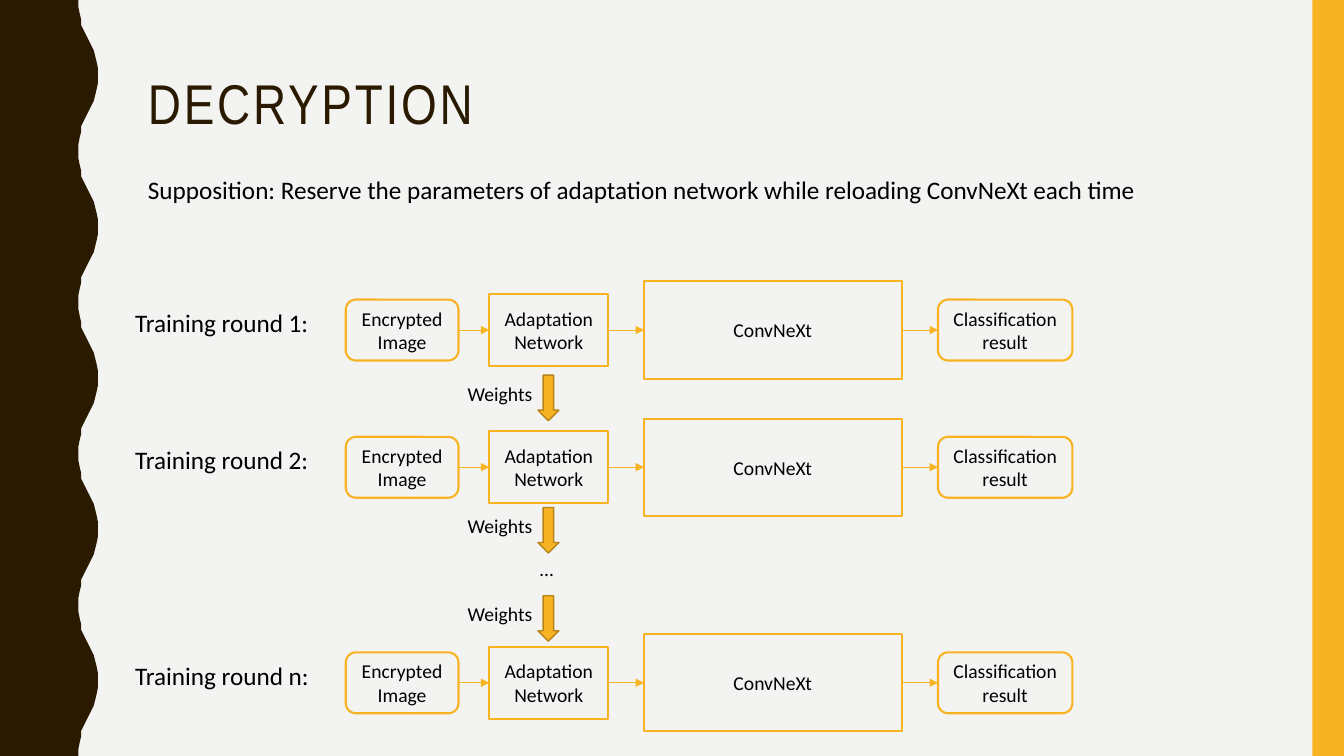
import pptx
import pptx.dml.color
import pptx.enum.shapes
import pptx.enum.text
import pptx.oxml
import pptx.oxml.ns
import pptx.util

Pt = pptx.util.Pt
SHAPES = pptx.enum.shapes.MSO_SHAPE
ANCHOR = pptx.enum.text.MSO_ANCHOR
ALIGN = pptx.enum.text.PP_ALIGN

SLIDE_WIDTH, SLIDE_HEIGHT = 960, 540
BROWN, AMBER, DARK_AMBER = "2A1A00", "F8B323", "B7841A"
PAPER, BLACK = "F3F3F2", "000000"

# One crest of the wavy edge, from trough to peak: (x, y)
HALF_WAVE = [(56.2, 0), (56.2, 5), (57, 10), (57.6, 14.4), (58.5, 18), (61.2, 24),
             (64.1, 30), (67, 36), (68.4, 39.6), (69.2, 44), (69.8, 49), (69.8, 54)]
WAVE_LENGTH = 108

# Stages of a training round: lines, shape, left within the row, width, height
STAGES = [
    (["Encrypted", "Image"], SHAPES.ROUNDED_RECTANGLE, 157.5, 80.5, 43.5),
    (["Adaptation", "Network"], SHAPES.RECTANGLE, 260, 85, 51.5),
    (["ConvNeXt"], SHAPES.RECTANGLE, 370.5, 184, 69.5),
    (["Classification", "result"], SHAPES.ROUNDED_RECTANGLE, 580.5, 96, 43.5),
]
ROW_LEFT, ROW_HEIGHT = 89.5, 69.5
ROUNDS = [("1", 201), ("2", 299), ("n", 453)]
WEIGHTS_LEFT = 327
WEIGHTS_TOPS = [268, 362.5, 425.5]


def paint(color_format, hex_color):
    color_format.rgb = pptx.dml.color.RGBColor.from_string(hex_color)


def fill_solid(fill, hex_color):
    fill.solid()
    paint(fill.fore_color, hex_color)


def write_lines(frame, lines, size, font="Calibri", color=BLACK, align=ALIGN.LEFT):
    frame.word_wrap = True
    for index, line in enumerate(lines):
        paragraph = frame.add_paragraph() if index else frame.paragraphs[0]
        paragraph.alignment = align
        run = paragraph.add_run()
        run.text = line
        run.font.size = Pt(size)
        run.font.name = font
        paint(run.font.color, color)


def add_label(slide, text, left, top, width, height, size):
    label = slide.shapes.add_textbox(Pt(left), Pt(top), Pt(width), Pt(height))
    write_lines(label.text_frame, [text], size)


def add_wavy_edge(slide, height):
    falling = [(x, WAVE_LENGTH - y) for x, y in reversed(HALF_WAVE[:-1])]
    crest = HALF_WAVE + falling
    edge = [(x, y + WAVE_LENGTH * turn)
            for turn in range(height // WAVE_LENGTH) for x, y in crest]
    builder = slide.shapes.build_freeform(0, 0, scale=Pt(1))
    builder.add_line_segments(edge + [(0, height)], close=True)
    wave = builder.convert_to_shape()
    wave.shadow.inherit = False
    fill_solid(wave.fill, BROWN)
    wave.line.fill.background()


def add_side_bar(slide, left, width, height):
    bar = slide.shapes.add_shape(SHAPES.RECTANGLE, Pt(left), 0, Pt(width), Pt(height))
    bar.shadow.inherit = False
    fill_solid(bar.fill, AMBER)
    bar.line.fill.background()


def add_heading(slide, left, top, width, height):
    title = slide.shapes.title
    title.left, title.top = Pt(left), Pt(top)
    title.width, title.height = Pt(width), Pt(height)
    frame = title.text_frame
    frame.vertical_anchor = ANCHOR.TOP
    frame.auto_size = pptx.enum.text.MSO_AUTO_SIZE.NONE
    write_lines(frame, ["DECRYPTION"], 40, "Arial Narrow", BROWN)
    heading = frame.paragraphs[0]
    heading.line_spacing = 0.9
    heading.runs[0].font._element.set("spc", "200")


def add_stage(slide, lines, outline, left, top, width, height):
    stage = slide.shapes.add_shape(outline, Pt(left), Pt(top), Pt(width), Pt(height))
    stage.shadow.inherit = False
    stage.fill.background()
    paint(stage.line.color, AMBER)
    stage.line.width = Pt(1.5)
    stage.text_frame.vertical_anchor = ANCHOR.MIDDLE
    write_lines(stage.text_frame, lines, 14, align=ALIGN.CENTER)
    return stage


def link_stages(slide, source, target):
    """Draw an arrow from the right side of source to the left side of target."""
    link = slide.shapes.add_connector(pptx.enum.shapes.MSO_CONNECTOR.STRAIGHT, 0, 0, 0, 0)
    link.begin_connect(source, 3)
    link.end_connect(target, 1)
    paint(link.line.color, AMBER)
    link.line.width = Pt(0.5)
    head = pptx.oxml.parse_xml(
        f'<a:tailEnd {pptx.oxml.ns.nsdecls("a")} type="triangle"/>')
    link.line._get_or_add_ln().append(head)
    no_effects = pptx.oxml.parse_xml(f'<a:effectLst {pptx.oxml.ns.nsdecls("a")}/>')
    link._element.spPr.append(no_effects)


def add_training_round(slide, number, left, top, height):
    add_label(slide, f"Training round {number}:", left, top + 15, 147, 29, 18)
    stages = [
        add_stage(slide, lines, outline, left + offset,
                  top + (height - stage_height) / 2, width, stage_height)
        for lines, outline, offset, width, stage_height in STAGES
    ]
    for source, target in zip(stages, stages[1:]):
        link_stages(slide, source, target)


def add_weights_step(slide, left, top):
    arrow = slide.shapes.add_shape(
        SHAPES.DOWN_ARROW, Pt(left + 57.25), Pt(top), Pt(15), Pt(32.5))
    arrow.shadow.inherit = False
    fill_solid(arrow.fill, AMBER)
    paint(arrow.line.color, DARK_AMBER)
    arrow.line.width = Pt(1)
    add_label(slide, "Weights", left, top + 1, 75, 24.5, 14)


def add_decryption_slide(deck):
    slide = deck.slides.add_slide(deck.slide_layouts.get_by_name("Title Only"))
    fill_solid(slide.background.fill, PAPER)
    add_wavy_edge(slide, SLIDE_HEIGHT)
    add_side_bar(slide, 937.5, SLIDE_WIDTH - 937.5, SLIDE_HEIGHT)
    add_heading(slide, 98.5, 51, 777.5, 57.5)
    add_label(slide, "Supposition: Reserve the parameters of adaptation network "
              "while reloading ConvNeXt each time", 98.5, 121, 749.5, 29, 18)
    for number, top in ROUNDS:
        add_training_round(slide, number, ROW_LEFT, top, ROW_HEIGHT)
    for top in WEIGHTS_TOPS:
        add_weights_step(slide, WEIGHTS_LEFT, top)
    add_label(slide, "…", 378.5, 394, 75, 24.5, 14)


def main():
    deck = pptx.Presentation()
    deck.slide_width, deck.slide_height = Pt(SLIDE_WIDTH), Pt(SLIDE_HEIGHT)
    add_decryption_slide(deck)
    deck.save("out.pptx")


if __name__ == "__main__":
    main()
